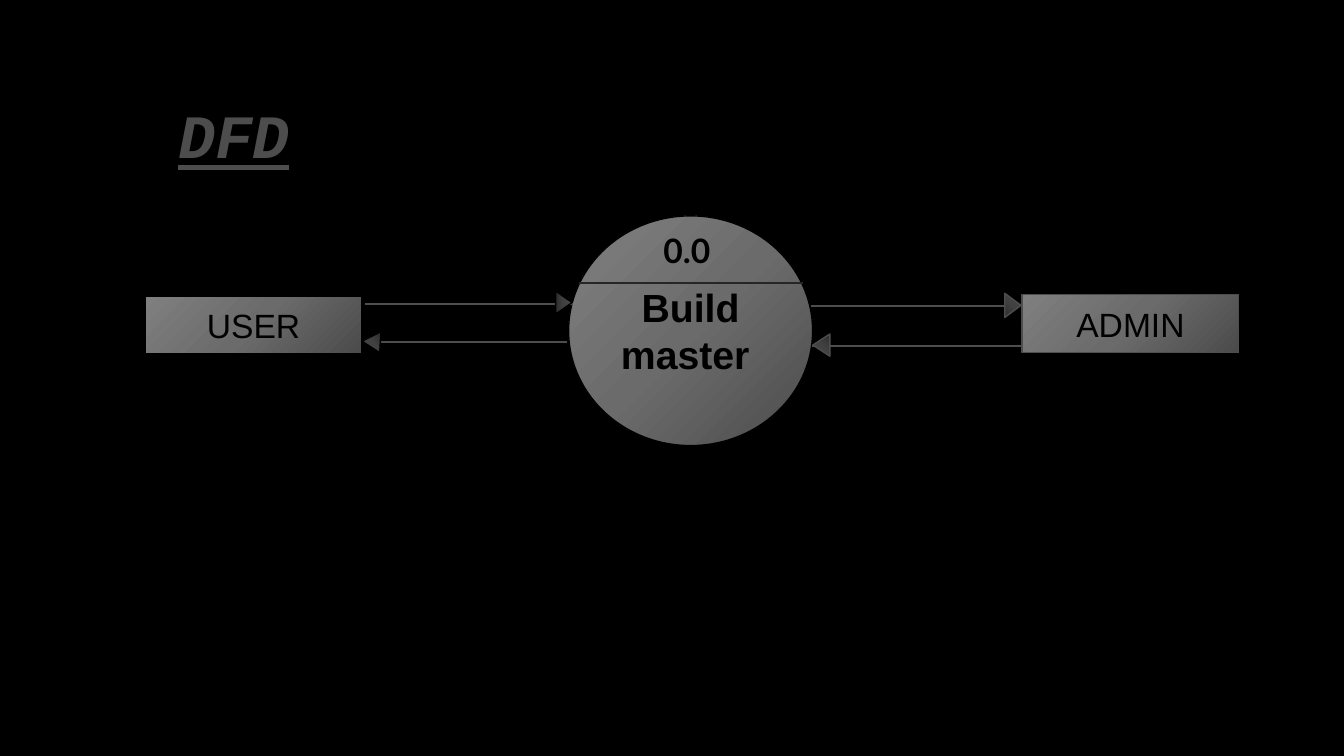
from dataclasses import dataclass

from lxml.etree import SubElement
from pptx import Presentation
from pptx.dml.color import RGBColor
from pptx.enum.shapes import MSO_CONNECTOR as Connector, MSO_SHAPE as Preset
from pptx.enum.text import MSO_ANCHOR as Anchor, MSO_AUTO_SIZE as AutoSize, PP_ALIGN as Align
from pptx.oxml.ns import qn
from pptx.util import Cm, Pt

BLACK, GREY, DIVIDER = "000000", "4D4D4D", "262626"
CIRCLE_SHADES = ("4C4C4C", "6B6B6B", "808080")
ENTITY_SHADES = ("4B4B4B", "6B6B6B", "7F7F7F")
ARROW_SHADES = ("2E2E2E", "414141", "4D4D4D")


@dataclass
class Node:
    preset: Preset
    left: float
    top: float
    width: float
    height: float
    shades: tuple[str, str, str]
    outline: str = BLACK
    text: str = ""
    size: int = 24
    bold: bool = False
    rotation: float = 0
    gradient_angle: int = 225


@dataclass
class Line:
    start: float
    end: float
    y: float
    colour: str = GREY


PROCESS = Node(Preset.FLOWCHART_CONNECTOR, 14.33, 5.44, 6.15, 5.79, CIRCLE_SHADES,
               text="Build master ", size=28, bold=True)
FLOWS = [
    Line(14.58, 20.24, 7.14, DIVIDER),
    Line(14.43, 9.19, 7.67),
    Line(14.3, 9.17, 8.61),
    Line(20.47, 25.76, 8.71),
    Line(20.45, 25.65, 7.7),
]
ARROWS = [
    Node(Preset.FLOWCHART_EXTRACT, 13.92, 7.42, 0.58, 0.41, ARROW_SHADES,
         rotation=90, gradient_angle=270),
    Node(Preset.FLOWCHART_EXTRACT, 9.09, 8.38, 0.53, 0.46, ARROW_SHADES, rotation=273.1),
    Node(Preset.FLOWCHART_EXTRACT, 25.22, 7.49, 0.61, 0.41, ARROW_SHADES, GREY, rotation=90),
    Node(Preset.FLOWCHART_EXTRACT, 20.42, 8.48, 0.56, 0.43, ARROW_SHADES, GREY, rotation=270),
]
ENTITIES = [
    Node(Preset.RECTANGLE, 3.66, 7.47, 5.46, 1.45, ENTITY_SHADES, text="USER"),
    Node(Preset.RECTANGLE, 25.76, 7.42, 5.46, 1.47, ENTITY_SHADES, GREY, text="ADMIN"),
]


def rgb(colour: str) -> RGBColor:
    return RGBColor.from_string(colour)


def format_run(run, font: str, size: int, colour: str, bold: bool = False) -> None:
    run.font.name = font
    run.font.size = Pt(size)
    run.font.bold = bold
    run.font.color.rgb = rgb(colour)


def fill_gradient(shape, shades: tuple[str, str, str], angle: int) -> None:
    """Fill with three evenly spaced shades; the angle runs clockwise."""
    gradient = SubElement(shape.element.spPr, qn("a:gradFill"), rotWithShape="1")
    stops = SubElement(gradient, qn("a:gsLst"))
    for position, shade in zip((0, 50000, 100000), shades):
        stop = SubElement(stops, qn("a:gs"), pos=str(position))
        SubElement(stop, qn("a:srgbClr"), val=shade)
    SubElement(gradient, qn("a:lin"), ang=str(angle * 60000), scaled="1")


def add_node(slide, node: Node) -> None:
    shape = slide.shapes.add_shape(node.preset, Cm(node.left), Cm(node.top),
                                   Cm(node.width), Cm(node.height))
    fill_gradient(shape, node.shades, node.gradient_angle)
    shape.shadow.inherit = False
    shape.line.color.rgb = rgb(node.outline)
    shape.line.width = Pt(1)
    shape.rotation = node.rotation
    if node.text:
        shape.text_frame.text = node.text
        shape.text_frame.vertical_anchor = Anchor.MIDDLE
        paragraph = shape.text_frame.paragraphs[0]
        paragraph.alignment = Align.CENTER
        format_run(paragraph.runs[0], "Arial", node.size, BLACK, node.bold)


def add_line(slide, line: Line) -> None:
    connector = slide.shapes.add_connector(Connector.STRAIGHT, Cm(line.start), Cm(line.y),
                                           Cm(line.end), Cm(line.y))
    connector.line.color.rgb = rgb(line.colour)
    connector.line.width = Pt(1.5)
    SubElement(connector.element.spPr, qn("a:effectLst"))


def add_title(slide) -> None:
    title = slide.shapes.title
    title.left, title.top, title.width, title.height = Cm(4.24), Cm(1.27), Cm(25.4), Cm(3.18)
    title.text_frame.text = "DFD"
    title.text_frame.vertical_anchor = Anchor.BOTTOM
    title.text_frame.auto_size = AutoSize.NONE
    paragraph = title.text_frame.paragraphs[0]
    paragraph.alignment = Align.LEFT
    paragraph.line_spacing = 0.9
    run = paragraph.runs[0]
    format_run(run, "Courier New", 44, GREY, bold=True)
    run.font.italic = run.font.underline = True


def add_process_number(slide) -> None:
    box = slide.shapes.add_textbox(Cm(15.65), Cm(5.66), Cm(3.48), Cm(1.27))
    box.text_frame.word_wrap = True
    box.text_frame.auto_size = AutoSize.SHAPE_TO_FIT_TEXT
    paragraph = box.text_frame.paragraphs[0]
    paragraph.alignment = Align.CENTER
    for text, size, colour, bold in (("0.0", 24, BLACK, True), (" ", 18, "FFFFFF", False)):
        run = paragraph.add_run()
        run.text = text
        format_run(run, "Lato", size, colour, bold)


def main() -> None:
    presentation = Presentation()
    presentation.slide_width, presentation.slide_height = Cm(33.87), Cm(19.05)
    slide = presentation.slides.add_slide(presentation.slide_layouts.get_by_name("Title Only"))
    slide.background.fill.solid()
    slide.background.fill.fore_color.rgb = rgb(BLACK)

    add_title(slide)
    add_node(slide, PROCESS)
    add_process_number(slide)
    for line in FLOWS:
        add_line(slide, line)
    for node in ARROWS + ENTITIES:
        add_node(slide, node)
    presentation.save("out.pptx")


if __name__ == "__main__":
    main()
